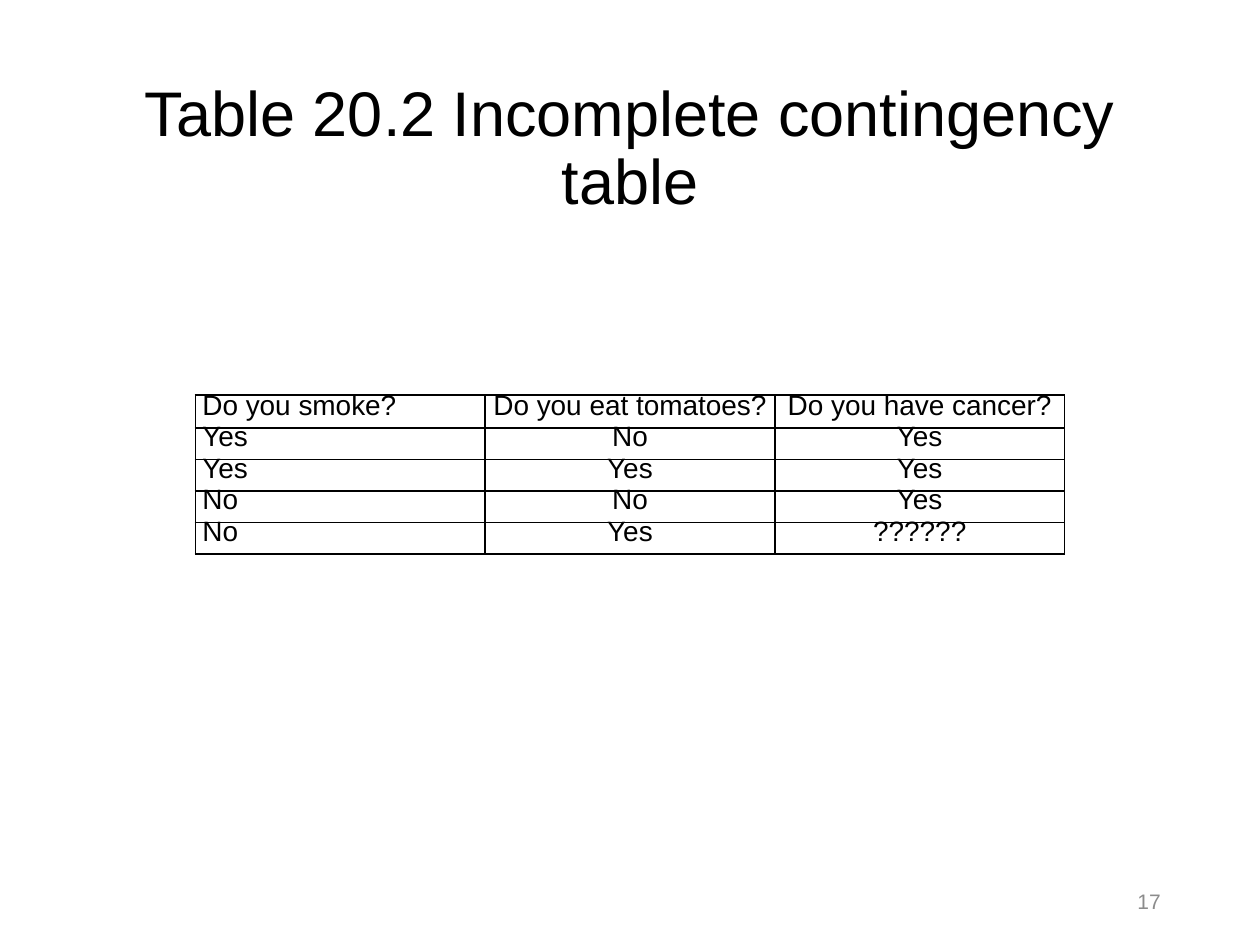
from lxml.etree import SubElement
from pptx import Presentation
from pptx.dml.color import RGBColor
from pptx.enum.text import MSO_ANCHOR as Anchor, MSO_AUTO_SIZE as AutoSize, PP_ALIGN as Align
from pptx.oxml.ns import qn
from pptx.util import Cm, Pt

# Content
TITLE = "Table 20.2 Incomplete contingency table"
ROWS = [
    ("Do you smoke?", "Do you eat tomatoes?", "Do you have cancer?"),
    ("Yes", "No", "Yes"),
    ("Yes", "Yes", "Yes"),
    ("No", "No", "Yes"),
    ("No", "Yes", "??????"),
]
SLIDE_NUMBER = "17"

# Format
FONT = "Arial"
COLORS = {"text": "000000", "border": "000000", "number": "8C8C8C"}
COLUMN_WIDTH = Cm(5.84)
HEADER_HEIGHT, ROW_HEIGHT = Cm(0.67), Cm(0.63)
CELL_MARGIN = Cm(0.14)


def write_text(frame, text, size, color="text", align=Align.LEFT, spacing=None, after=None):
    frame.word_wrap = True
    paragraph = frame.paragraphs[0]
    paragraph.alignment = align
    paragraph.line_spacing = spacing
    paragraph.space_after = after
    run = paragraph.add_run()
    run.text = text
    run.font.name = FONT
    run.font.size = Pt(size)
    run.font.color.rgb = RGBColor.from_string(COLORS[color])


def place(shape, left, top, width, height):
    shape.left, shape.top, shape.width, shape.height = map(Cm, (left, top, width, height))


def add_borders(cell, width=Pt(1)):
    properties = cell._tc.get_or_add_tcPr()
    for side in ("a:lnL", "a:lnR", "a:lnT", "a:lnB"):
        line = SubElement(properties, qn(side), w=str(width))
        fill = SubElement(line, qn("a:solidFill"))
        SubElement(fill, qn("a:srgbClr"), val=COLORS["border"])


presentation = Presentation()
presentation.slide_width, presentation.slide_height = Cm(25.4), Cm(19.05)
slide = presentation.slides.add_slide(presentation.slide_layouts[5])

# Title
title = slide.shapes.title
place(title, 1.75, 1.19, 21.9, 3.68)
title.text_frame.auto_size = AutoSize.NONE
title.text_frame.vertical_anchor = Anchor.MIDDLE
write_text(title.text_frame, TITLE, 36, align=Align.CENTER, spacing=0.9)

# Contingency table
column_count = len(ROWS[0])
table_height = HEADER_HEIGHT + ROW_HEIGHT * (len(ROWS) - 1)
table = slide.shapes.add_table(len(ROWS), column_count, Cm(3.94), Cm(7.96),
                               COLUMN_WIDTH * column_count, table_height).table
table.first_row = table.horz_banding = False
for column in table.columns:
    column.width = COLUMN_WIDTH
for row_index, values in enumerate(ROWS):
    is_header = row_index == 0
    table.rows[row_index].height = HEADER_HEIGHT if is_header else ROW_HEIGHT
    for column_index, value in enumerate(values):
        cell = table.cell(row_index, column_index)
        cell.margin_left = cell.margin_right = CELL_MARGIN
        cell.margin_top = cell.margin_bottom = CELL_MARGIN
        add_borders(cell)
        cell.fill.background()
        write_text(cell.text_frame, value, 16,
                   align=Align.CENTER if column_index else Align.LEFT,
                   spacing=Pt(11 if is_header else 10), after=Pt(12))

# Slide number
number_box = slide.shapes.add_textbox(Cm(17.93), Cm(17.65), Cm(5.72), Cm(1.02))
number_box.text_frame.vertical_anchor = Anchor.MIDDLE
write_text(number_box.text_frame, SLIDE_NUMBER, 12, color="number", align=Align.RIGHT)

presentation.save("out.pptx")
